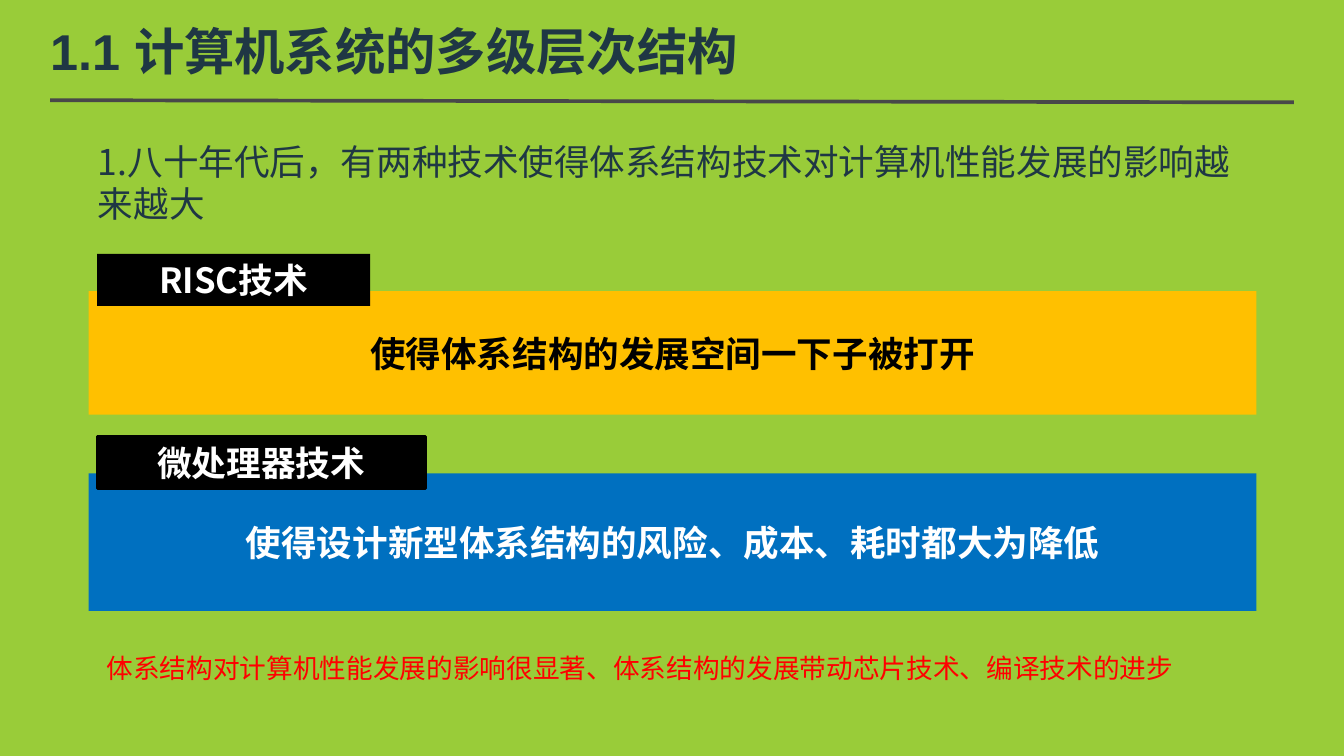
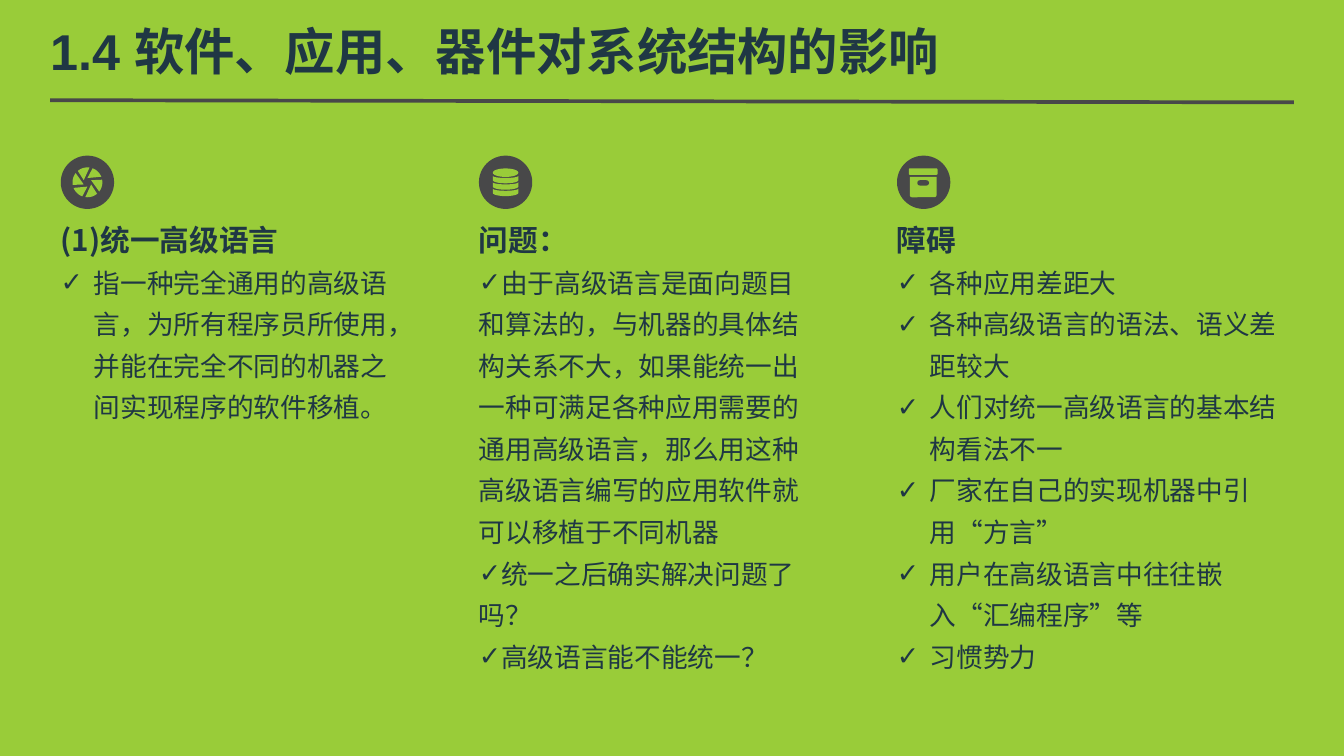
"""Build two slides on the layered structure of computer systems."""
import dataclasses
import math

import lxml.etree
import pptx
import pptx.dml.color
import pptx.enum.lang
import pptx.enum.shapes
import pptx.enum.text
import pptx.oxml.ns
import pptx.util

Inches = pptx.util.Inches
Pt = pptx.util.Pt
Shape = pptx.enum.shapes.MSO_SHAPE
Align = pptx.enum.text.PP_ALIGN
Anchor = pptx.enum.text.MSO_ANCHOR
qn = pptx.oxml.ns.qn


@dataclasses.dataclass(frozen=True)
class Theme:
    """Colours, fonts and type sizes shared by the slides."""

    background: str = "99CC39"
    ink: str = "1F3744"
    rule: str = "484849"
    amber: str = "FFC000"
    blue: str = "0070C0"
    red: str = "FF0000"
    black: str = "000000"
    white: str = "FFFFFF"
    latin: str = "Arial"
    chinese: str = "Noto Sans CJK SC"
    title_size: float = 34
    lead_size: float = 24
    tag_size: float = 23.4
    heading_size: float = 20
    body_size: float = 18


THEME = Theme()


def rgb(value):
    """Turn a hexadecimal string into a colour."""
    return pptx.dml.color.RGBColor.from_string(value)


def write_text(shape, paragraphs, *, size, color=THEME.ink, font=THEME.chinese,
               bold=False, align=Align.LEFT, anchor=Anchor.TOP, wrap=True,
               insets=(0.1, 0.05), margin=0, indent=0, bullet=None, spacing=None):
    """Fill a shape with paragraphs in one format."""
    frame = shape.text_frame
    frame.word_wrap = wrap
    frame.vertical_anchor = anchor
    frame.margin_left = frame.margin_right = Inches(insets[0])
    frame.margin_top = frame.margin_bottom = Inches(insets[1])
    for index, text in enumerate(paragraphs):
        paragraph = frame.add_paragraph() if index else frame.paragraphs[0]
        properties = paragraph._p.get_or_add_pPr()
        if margin or indent:
            properties.set("marL", str(Inches(margin)))
            properties.set("indent", str(Inches(indent)))
        if bullet:
            lxml.etree.SubElement(properties, qn("a:buFont"), typeface=THEME.latin)
            lxml.etree.SubElement(properties, qn("a:buChar"), char=bullet)
        paragraph.alignment = align
        if spacing:
            paragraph.line_spacing = spacing
        run = paragraph.add_run()
        run.text = text
        run.font.size = Pt(size)
        run.font.bold = bold
        run.font.color.rgb = rgb(color)
        run.font.name = font
        run.font.language_id = pptx.enum.lang.MSO_LANGUAGE_ID.SIMPLIFIED_CHINESE
        latin = run._r.get_or_add_rPr().find(qn("a:latin"))
        latin.addnext(latin.makeelement(qn("a:ea"), {"typeface": THEME.chinese}))


def add_text(slide, box, paragraphs, **text_format):
    """Add a text box."""
    shape = slide.shapes.add_textbox(*map(Inches, box))
    write_text(shape, paragraphs, **text_format)


def paint(shape, color):
    """Give a shape a flat fill without outline or shadow."""
    shape.shadow.inherit = False
    shape.fill.solid()
    shape.fill.fore_color.rgb = rgb(color)
    shape.line.fill.background()


def add_block(slide, kind, box, color):
    """Add a flat preset shape."""
    shape = slide.shapes.add_shape(kind, *map(Inches, box))
    paint(shape, color)
    return shape


def add_outline(slide, contours, color):
    """Add one freeform made of closed contours."""
    points = [[(Inches(x), Inches(y)) for x, y in contour] for contour in contours]
    builder = slide.shapes.build_freeform(*points[0][0], scale=1.0)
    for index, contour in enumerate(points):
        if index:
            builder.move_to(*contour[0])
        builder.add_line_segments(contour[1:], close=True)
    paint(builder.convert_to_shape(), color)


def add_titled_slide(presentation, title):
    """Add a slide with the shared title and rule."""
    slide = presentation.slides.add_slide(presentation.slide_layouts[6])
    rule = slide.shapes.add_connector(
        pptx.enum.shapes.MSO_CONNECTOR.STRAIGHT,
        Inches(0.47), Inches(0.94), Inches(12.13), Inches(0.96))
    rule.line.color.rgb = rgb(THEME.rule)
    rule.line.width = Pt(2.5)
    lxml.etree.SubElement(rule._element.spPr, qn("a:effectLst"))
    add_text(slide, (0.47, 0.16, 11.65, 0.63), [title], size=THEME.title_size,
             font=THEME.latin, bold=True, anchor=Anchor.MIDDLE, insets=(0, 0))
    return slide


def add_statement(slide, top, height, fill, color, text, tag, tag_width, tag_line):
    """Add a wide bar with a black tag over its upper left corner."""
    bar = add_block(slide, Shape.RECTANGLE, (0.83, top, 10.95, height), fill)
    write_text(bar, [text], size=THEME.lead_size, color=color, bold=True,
               align=Align.CENTER, anchor=Anchor.MIDDLE, wrap=False)
    label = add_block(slide, Shape.RECTANGLE, (0.91, top - 0.35, tag_width, 0.49),
                      THEME.black)
    if tag_line:
        label.line.color.rgb = rgb(THEME.black)
        label.line.width = Pt(tag_line)
    write_text(label, [tag], size=THEME.tag_size, color=THEME.white, bold=True,
               align=Align.CENTER, anchor=Anchor.MIDDLE)


def draw_aperture(slide, x, y):
    """Draw six shutter blades around a centre."""
    def polar(radius, degrees):
        angle = math.radians(degrees)
        return x + radius * math.cos(angle), y + radius * math.sin(angle)

    blades = [[polar(0.04, turn)]
              + [polar(0.14, turn + step) for step in range(20, 74, 6)]
              for turn in range(30, 390, 60)]
    add_outline(slide, blades, THEME.background)


def draw_database(slide, x, y):
    """Draw a stack of curved discs."""
    def edge(level, bend):
        angles = [math.pi * step / 12 for step in range(13)]
        return [(x - 0.12 * math.cos(angle), y + level + bend * math.sin(angle))
                for angle in angles]

    layers = [(-0.09, -0.04, -0.09, 0.04)]
    layers += [(level, 0.02, level + 0.04, 0.03) for level in (-0.06, 0, 0.06)]
    add_outline(slide, [edge(upper, upper_bend) + edge(lower, lower_bend)[::-1]
                        for upper, upper_bend, lower, lower_bend in layers],
                THEME.background)


def draw_archive(slide, x, y):
    """Draw a lidded box with a handle slot."""
    add_block(slide, Shape.ROUNDED_RECTANGLE, (x - 0.14, y - 0.13, 0.27, 0.06),
              THEME.background)
    body = add_block(slide, Shape.ROUND_2_SAME_RECTANGLE,
                     (x - 0.13, y - 0.05, 0.25, 0.19), THEME.background)
    body.adjustments[0], body.adjustments[1] = 0, 0.1
    slot = add_block(slide, Shape.ROUNDED_RECTANGLE,
                     (x - 0.06, y - 0.02, 0.11, 0.05), THEME.rule)
    slot.adjustments[0] = 0.5


def add_column(slide, left, draw_icon, heading, items, width, margin):
    """Add an icon, a heading and a checked list."""
    add_block(slide, Shape.OVAL, (left + 0.1, 1.46, 0.5, 0.5), THEME.rule)
    draw_icon(slide, left + 0.35, 1.71)
    add_text(slide, (left, 2.36, width, 2.95), items, size=THEME.body_size,
             font=THEME.latin, margin=margin, indent=-0.31, bullet="✓", spacing=1.3)
    add_text(slide, (left, 2.03, 3.82, 0.45), [heading],
             size=THEME.heading_size, bold=True)


def build_technology_slide(presentation):
    """Build the slide on the two technologies."""
    slide = add_titled_slide(presentation, "1.1 计算机系统的多级层次结构")
    add_text(slide, (0.82, 1.26, 10.92, 0.89),
             ["1.八十年代后，有两种技术使得体系结构技术对计算机性能发展的影响越来越大"],
             size=THEME.lead_size)
    add_statement(slide, 2.73, 1.16, THEME.amber, THEME.black,
                  "使得体系结构的发展空间一下子被打开", "RISC技术", 2.56, 0)
    add_statement(slide, 4.44, 1.29, THEME.blue, THEME.white,
                  "使得设计新型体系结构的风险、成本、耗时都大为降低",
                  "微处理器技术", 3.08, 2)
    add_text(slide, (0.9, 6.06, 10.78, 0.71),
             ["体系结构对计算机性能发展的影响很显著、体系结构的发展带动芯片技术、编译技术的进步"],
             size=THEME.body_size, color=THEME.red, margin=0.5, indent=-0.5)


def build_language_slide(presentation):
    """Build the slide on a unified high-level language."""
    slide = add_titled_slide(presentation, "1.4 软件、应用、器件对系统结构的影响")
    columns = [
        (draw_aperture, "(1)统一高级语言",
         ["指一种完全通用的高级语言，为所有程序员所使用，并能在完全不同的机器之间实现程序的软件移植。"],
         3.48, 0.31),
        (draw_database, "问题：",
         ["由于高级语言是面向题目和算法的，与机器的具体结构关系不大，如果能统一出一种可满足各种应用需要的"
          "通用高级语言，那么用这种高级语言编写的应用软件就可以移植于不同机器",
          "统一之后确实解决问题了吗？",
          "高级语言能不能统一？"],
         3.39, 0),
        (draw_archive, "障碍",
         ["各种应用差距大",
          "各种高级语言的语法、语义差距较大",
          "人们对统一高级语言的基本结构看法不一",
          "厂家在自己的实现机器中引用“方言”",
          "用户在高级语言中往往嵌入“汇编程序”等",
          "习惯势力"],
         3.82, 0.31),
    ]
    for index, column in enumerate(columns):
        add_column(slide, 0.47 + 3.92 * index, *column)


def main():
    """Build and save the presentation."""
    presentation = pptx.Presentation()
    presentation.slide_width = Inches(12.6)
    presentation.slide_height = Inches(7.09)
    fill = presentation.slide_master.background.fill
    fill.solid()
    fill.fore_color.rgb = rgb(THEME.background)
    build_technology_slide(presentation)
    build_language_slide(presentation)
    presentation.save("out.pptx")


if __name__ == "__main__":
    main()
